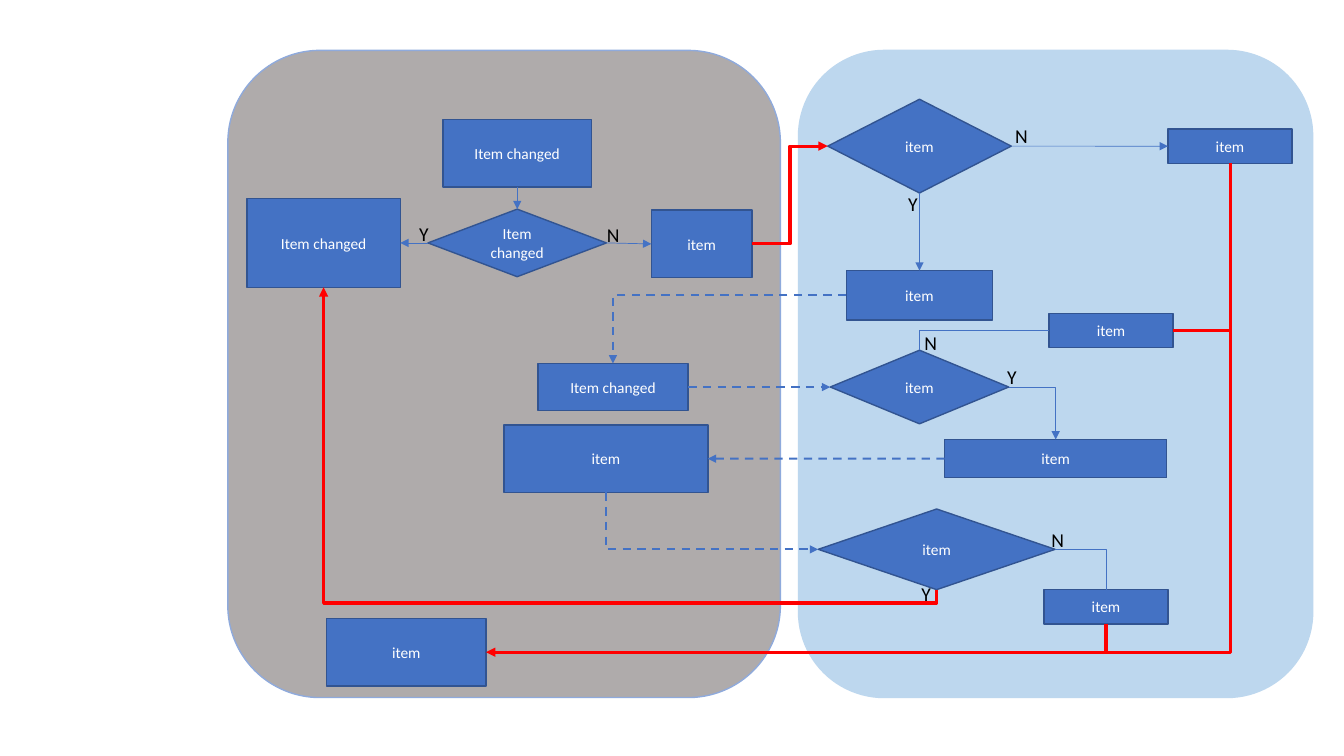
from lxml import etree
from pptx import Presentation
from pptx import util as u
from pptx.dml.color import RGBColor
from pptx.enum import dml, shapes, text
from pptx.oxml.ns import qn

COLORS = {"grey": "AFABAB", "grey_edge": "8FAADC", "pale": "BDD7EE", "blue": "4472C4",
          "edge": "325491", "red": "FF0000", "white": "FFFFFF", "black": "000000"}
SLIDE = (13.33, 7.5)
TOP, BOTTOM, LEFT, RIGHT = (0, -1), (0, 1), (-1, 0), (1, 0)
SITES = {TOP: 0, LEFT: 1, BOTTOM: 2, RIGHT: 3}
COLUMNS = {"outcome": 3.21, "end": 4.03, "trigger": 5.13, "store": 6.01, "update": 6.08,
           "handoff": 6.96, "review": 9.12, "final": 9.29, "publish": 10.47,
           "refusal": 10.97, "exception": 11.02, "trunk": 12.2}
ROWS = {"trigger": 1.52, "review": 1.45, "change": 2.41, "handoff": 2.42, "accept": 2.93,
        "exception": 3.28, "check": 3.84, "publish": 4.55, "final": 5.45,
        "refusal": 6.02, "end": 6.47}
PROCESS = shapes.MSO_SHAPE.FLOWCHART_PROCESS
DECISION = shapes.MSO_SHAPE.FLOWCHART_DECISION

PANELS = [
    (2.26, 5.48, "grey", "grey_edge"),
    (7.92, 5.1, "pale", "pale"),
]
STEPS = {
    "trigger": ("Item changed", PROCESS, "trigger", "trigger", 1.47, 0.67),
    "change": ("Item changed", DECISION, "trigger", "change", 1.77, 0.67),
    "outcome": ("Item changed", PROCESS, "outcome", "change", 1.52, 0.88),
    "handoff": ("item", PROCESS, "handoff", "handoff", 1, 0.67),
    "review": ("item", DECISION, "review", "review", 1.82, 0.93),
    "reject": ("item", PROCESS, "trunk", "review", 1.23, 0.34),
    "accept": ("item", PROCESS, "review", "accept", 1.45, 0.49),
    "update": ("Item changed", PROCESS, "update", "check", 1.49, 0.47),
    "check": ("item", DECISION, "review", "check", 1.77, 0.73),
    "exception": ("item", PROCESS, "exception", "exception", 1.23, 0.34),
    "publish": ("item", PROCESS, "publish", "publish", 2.2, 0.38),
    "store": ("item", PROCESS, "store", "publish", 2.02, 0.67),
    "final": ("item", DECISION, "final", "final", 2.35, 0.8),
    "refusal": ("item", PROCESS, "refusal", "refusal", 1.23, 0.34),
    "end": ("item", PROCESS, "end", "end", 1.58, 0.67),
}
STYLES = {"thin": ("blue", 0.5, False), "dashed": ("blue", 1.5, True), "route": ("red", 2.25, False)}
STRAIGHT_LINKS = [
    ("trigger", BOTTOM, "change", TOP, "thin"),
    ("change", LEFT, "outcome", RIGHT, "thin"),
    ("change", RIGHT, "handoff", LEFT, "thin"),
    ("review", BOTTOM, "accept", TOP, "thin"),
    ("review", RIGHT, "reject", LEFT, "thin"),
    ("update", RIGHT, "check", LEFT, "dashed"),
    ("publish", LEFT, "store", RIGHT, "dashed"),
]
BENT_LINKS = [
    ("accept", LEFT, "update", TOP, "dashed", True, None),
    ("check", RIGHT, "publish", TOP, "thin", True, None),
    ("check", TOP, "exception", LEFT, "thin", False, None),
    ("store", BOTTOM, "final", LEFT, "dashed", True, None),
    ("final", RIGHT, "refusal", TOP, "thin", False, None),
    ("handoff", RIGHT, "review", LEFT, "route", True, 0.5),
    ("final", BOTTOM, "outcome", BOTTOM, "route", True, -0.044),
    ("reject", BOTTOM, "end", RIGHT, "route", True, None),
]
MERGES = [
    ("exception", RIGHT, COLUMNS["trunk"], ROWS["exception"]),
    ("refusal", BOTTOM, COLUMNS["refusal"], ROWS["end"]),
]
ANSWERS = [
    ("Y", 4.06, 2.15), ("N", 5.92, 2.16), ("Y", 8.91, 1.86), ("N", 9.97, 1.18),
    ("N", 9.07, 3.23), ("Y", 9.89, 3.57), ("Y", 9.04, 5.72), ("N", 10.33, 5.19),
]

deck = Presentation()
deck.slide_width, deck.slide_height = map(u.Inches, SLIDE)
slide = deck.slides.add_slide(deck.slide_layouts[6])


def color(name):
    return RGBColor.from_string(COLORS[name])


def write(frame, words, size, ink, align, anchor, wrap):
    frame.word_wrap = wrap
    frame.vertical_anchor = anchor
    paragraph = frame.paragraphs[0]
    paragraph.alignment = align
    run = paragraph.add_run()
    run.text = words
    run.font.size, run.font.name = u.Pt(size), "Calibri"
    run.font.color.rgb = color(ink)


def block(kind, left, top, width, height, fill, edge):
    drawn = slide.shapes.add_shape(kind, *map(u.Inches, (left, top, width, height)))
    drawn.shadow.inherit = False
    drawn.fill.solid()
    drawn.fill.fore_color.rgb = color(fill)
    drawn.line.color.rgb = color(edge)
    drawn.line.width = u.Pt(1)
    return drawn


def side_point(step, side):
    column, row, width, height = STEPS[step][2:]
    return COLUMNS[column] + side[0] * width / 2, ROWS[row] + side[1] * height / 2


def link(start, finish, style, arrow=True, kind=shapes.MSO_CONNECTOR.STRAIGHT):
    ink, weight, dashed = STYLES[style]
    drawn = slide.shapes.add_connector(kind, *map(u.Inches, (*start, *finish)))
    drawn.line.color.rgb = color(ink)
    drawn.line.width = u.Pt(weight)
    if dashed:
        drawn.line.dash_style = dml.MSO_LINE.DASH
    properties = drawn._element.spPr
    if arrow:
        etree.SubElement(properties.find(qn("a:ln")), qn("a:tailEnd"), type="triangle")
    etree.SubElement(properties, qn("a:effectLst"))
    return drawn


def bent_link(start, side, finish, style, arrow, bend):
    upright = side in (TOP, BOTTOM)
    if upright:
        (x1, y1), (x2, y2) = start, finish
        middle_x, middle_y = (x1 + x2) / 2, (y1 + y2) / 2
        half_x, half_y = (y2 - y1) / 2, (x1 - x2) / 2
        start = middle_x - half_x, middle_y - half_y
        finish = middle_x + half_x, middle_y + half_y
    drawn = link(start, finish, style, arrow, shapes.MSO_CONNECTOR.ELBOW)
    properties = drawn._element.spPr
    if upright:
        properties.find(qn("a:xfrm")).set("rot", str(90 * 60000))
    geometry = properties.find(qn("a:prstGeom"))
    if bend is None:
        geometry.set("prst", "bentConnector2")
    else:
        guides = geometry.find(qn("a:avLst"))
        etree.SubElement(guides, qn("a:gd"), name="adj1", fmla=f"val {round(bend * 100000)}")


for left, width, fill, edge in PANELS:
    block(shapes.MSO_SHAPE.ROUNDED_RECTANGLE, left, 0.5, width, 6.42, fill, edge)

blocks = {}
for step, (words, kind, column, row, width, height) in STEPS.items():
    blocks[step] = block(kind, COLUMNS[column] - width / 2, ROWS[row] - height / 2,
                         width, height, "blue", "edge")
    write(blocks[step].text_frame, words, size=11, ink="white", wrap=True,
          align=text.PP_ALIGN.CENTER, anchor=text.MSO_ANCHOR.MIDDLE)

for source, source_side, target, target_side, style in STRAIGHT_LINKS:
    drawn = link(side_point(source, source_side), side_point(target, target_side), style)
    drawn.begin_connect(blocks[source], SITES[source_side])
    drawn.end_connect(blocks[target], SITES[target_side])

for source, source_side, target, target_side, style, arrow, bend in BENT_LINKS:
    bent_link(side_point(source, source_side), source_side,
              side_point(target, target_side), style, arrow, bend)

for source, side, x, y in MERGES:
    drawn = link(side_point(source, side), (x, y), "route", arrow=False)
    drawn.begin_connect(blocks[source], SITES[side])

for answer, left, top in ANSWERS:
    width = 0.3 if answer == "Y" else 0.33
    label = slide.shapes.add_textbox(*map(u.Inches, (left, top, width, 0.34)))
    write(label.text_frame, answer, size=14, ink="black", wrap=False,
          align=text.PP_ALIGN.LEFT, anchor=text.MSO_ANCHOR.TOP)
    label.text_frame.auto_size = text.MSO_AUTO_SIZE.SHAPE_TO_FIT_TEXT

deck.save("out.pptx")
